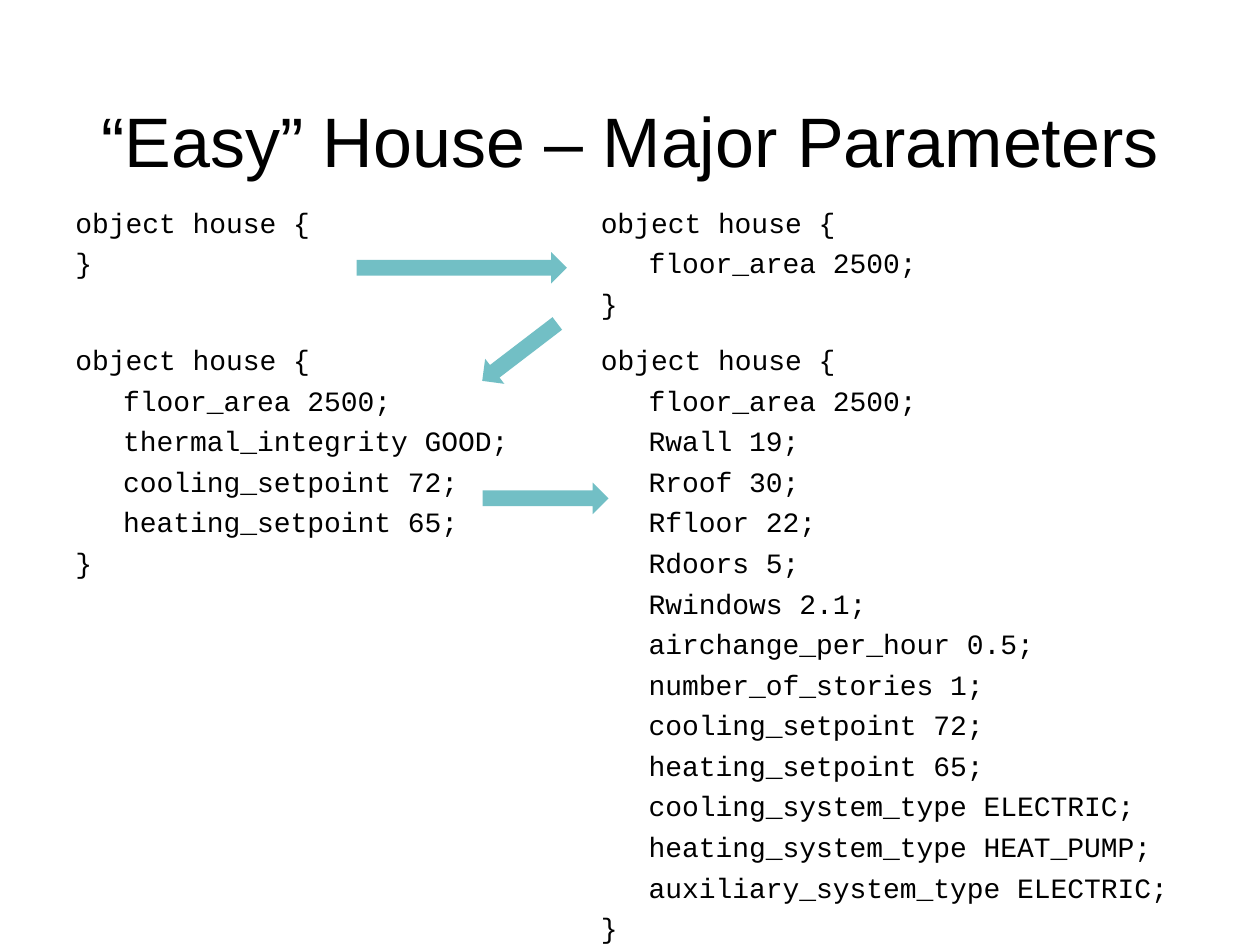
import pptx
import pptx.util
import pptx.dml.color
import pptx.enum.shapes
import pptx.enum.text

Inches = pptx.util.Inches
Pt = pptx.util.Pt
BLACK = pptx.dml.color.RGBColor(0x00, 0x00, 0x00)
TEAL = pptx.dml.color.RGBColor(0x72, 0xBF, 0xC5)

HEAD = {"name": "Arial", "size": Pt(40), "bold": False}
CODE = {"name": "Courier New", "size": Pt(16)}
INDENT = Inches(0.38)

LEFT, RIGHT = 0.5, 4.67
TOP, LOW = 1.58, 2.67

AREA = "floor_area 2500;"
SETS = ["cooling_setpoint 72;", "heating_setpoint 65;"]

# Box and settings of each version of the house
HOUSES = [
    ((LEFT, TOP, 3.08, 1.67), []),
    ((RIGHT, TOP, 3.67, 1.67), [AREA]),
    ((LEFT, LOW, 4, 3.25), [AREA, "thermal_integrity GOOD;", *SETS]),
    ((RIGHT, LOW, 5.58, 4.33), [
        AREA,
        "Rwall 19;",
        "Rroof 30;",
        "Rfloor 22;",
        "Rdoors 5;",
        "Rwindows 2.1;",
        "airchange_per_hour 0.5;",
        "number_of_stories 1;",
        *SETS,
        "cooling_system_type ELECTRIC;",
        "heating_system_type HEAT_PUMP;",
        "auxiliary_system_type ELECTRIC;",
    ]),
]

# Box and turn of each arrow, in reading order
ARROWS = [
    ((2.83, 2, 1.67, 0.25), 0),
    ((3.75, 2.67, 0.75, 0.25), 142.6),
    ((3.83, 3.83, 1, 0.25), 0),
]


def set_font(font, style):
    for key, value in style.items():
        setattr(font, key, value)
    font.color.rgb = BLACK


def add_title(slide, box, text):
    title = slide.shapes.title
    for key, value in zip(("left", "top", "width", "height"), box):
        setattr(title, key, Inches(value))
    frame = title.text_frame
    frame.text = text
    frame.word_wrap = True
    frame.auto_size = pptx.enum.text.MSO_AUTO_SIZE.NONE
    frame.vertical_anchor = pptx.enum.text.MSO_ANCHOR.MIDDLE
    para = frame.paragraphs[0]
    para.alignment = pptx.enum.text.PP_ALIGN.CENTER
    set_font(para.runs[0].font, HEAD)


def add_house(slide, box, items):
    frame = slide.shapes.add_textbox(*map(Inches, box)).text_frame
    frame.word_wrap = True
    frame.text = "\n".join(["object house {", *items, "}"])
    for para in frame.paragraphs:
        para.space_before = Pt(4)
        set_font(para.runs[0].font, CODE)
    # Settings sit one step in from the braces
    for para in frame.paragraphs[1:-1]:
        para._p.get_or_add_pPr().set("marL", str(INDENT))


def add_arrow(slide, box, turn):
    kind = pptx.enum.shapes.MSO_SHAPE.RIGHT_ARROW
    arrow = slide.shapes.add_shape(kind, *map(Inches, box))
    arrow.rotation = turn
    arrow.shadow.inherit = False
    arrow.fill.solid()
    arrow.fill.fore_color.rgb = TEAL
    arrow.line.fill.background()


def main():
    deck = pptx.Presentation()
    deck.slide_width, deck.slide_height = Inches(10), Inches(7.5)
    slide = deck.slides.add_slide(deck.slide_layouts[5])
    add_title(slide, (0.5, 0.67, 9, 0.88), "“Easy” House – Major Parameters")
    for box, items in HOUSES:
        add_house(slide, box, items)
    for box, turn in ARROWS:
        add_arrow(slide, box, turn)
    deck.save("out.pptx")


if __name__ == "__main__":
    main()
